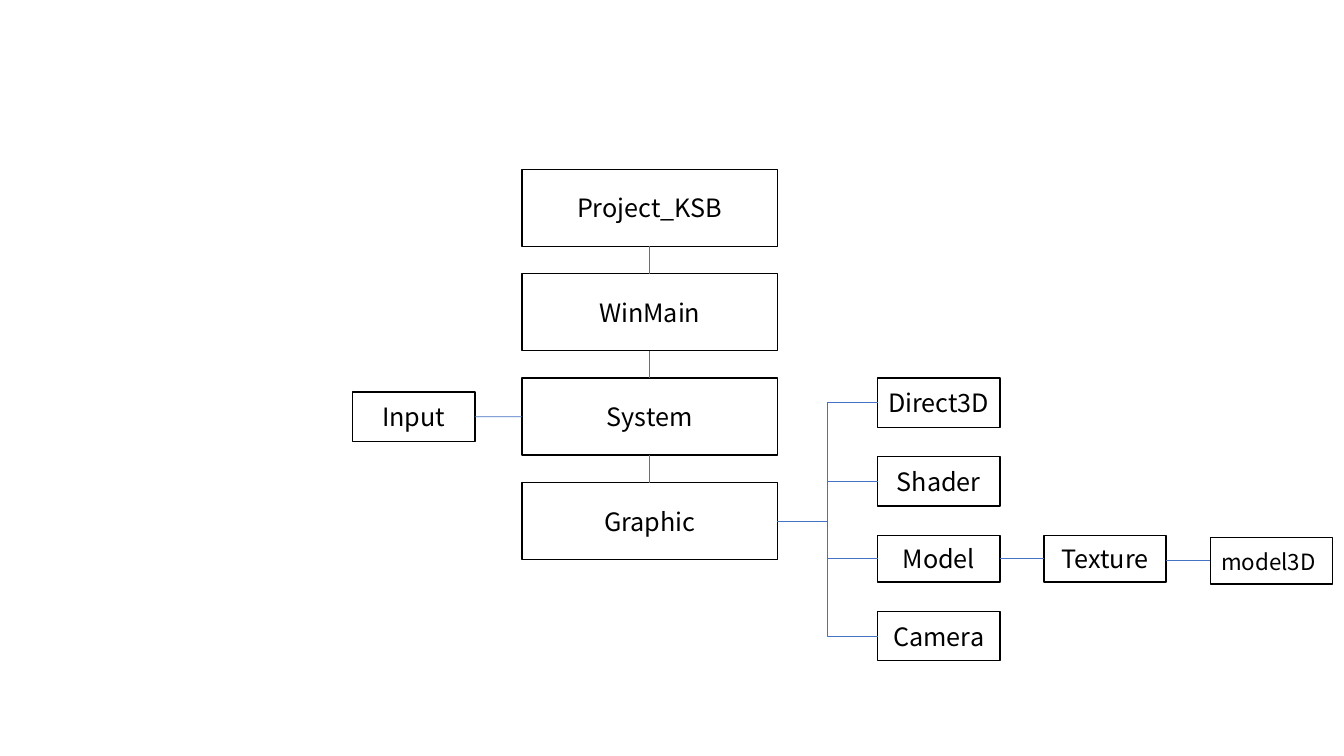
"""Draw the class structure of a 3D project as a tree of linked boxes."""
from dataclasses import dataclass
from itertools import pairwise

from lxml import etree
from pptx import Presentation
from pptx import util as u
from pptx.dml.color import RGBColor
from pptx.enum import shapes, text
from pptx.oxml import ns
from pptx.shapes.autoshape import Shape
from pptx.shapes.connector import Connector
from pptx.slide import Slide


@dataclass(frozen=True)
class Theme:
    font: str = "Noto Sans CJK KR"
    ink: RGBColor = RGBColor(0, 0, 0)
    paper: RGBColor = RGBColor(255, 255, 255)
    link: RGBColor = RGBColor(0x44, 0x72, 0xC4)
    body: int = 18
    small: int = 16
    border: float = 1
    link_width: float = 0.5


@dataclass(frozen=True)
class Node:
    spans: tuple[tuple[str, int], ...]
    left: float
    top: float
    width: float
    height: float


THEME = Theme()
TOP, LEFT, BOTTOM, RIGHT = range(4)
STRAIGHT = shapes.MSO_CONNECTOR.STRAIGHT
ELBOW = shapes.MSO_CONNECTOR.ELBOW

MAIN_LEFT, MAIN_TOP, MAIN_WIDTH, MAIN_HEIGHT = 13.16, 4.27, 6.43, 1.94
MAIN_PITCH = 2.63
PART_LEFT, PART_WIDTH, PART_PITCH, PART_GAP = 22.12, 3.08, 4.19, 0.74
TALL, SHORT = 1.24, 1.18
SYSTEM_TOP = MAIN_TOP + 2 * MAIN_PITCH


def label(name: str) -> tuple[tuple[str, int], ...]:
    return ((name, THEME.body),)


def add_node(page: Slide, node: Node) -> Shape:
    box = page.shapes.add_shape(
        shapes.MSO_SHAPE.RECTANGLE,
        u.Cm(node.left), u.Cm(node.top), u.Cm(node.width), u.Cm(node.height),
    )
    box.shadow.inherit = False
    box.fill.solid()
    box.fill.fore_color.rgb = THEME.paper
    box.line.color.rgb = THEME.ink
    box.line.width = u.Pt(THEME.border)
    frame = box.text_frame
    frame.word_wrap = False
    frame.vertical_anchor = text.MSO_ANCHOR.MIDDLE
    para = frame.paragraphs[0]
    para.alignment = text.PP_ALIGN.CENTER
    for words, size in node.spans:
        span = para.add_run()
        span.text = words
        span.font.name = THEME.font
        span.font.size = u.Pt(size)
        span.font.color.rgb = THEME.ink
    return box


def add_link(page: Slide, start: Shape, start_site: int, end: Shape, end_site: int,
             kind: shapes.MSO_CONNECTOR = STRAIGHT) -> Connector:
    link = page.shapes.add_connector(kind, 0, 0, 0, 0)
    link.begin_connect(start, start_site)
    link.end_connect(end, end_site)
    link.line.color.rgb = THEME.link
    link.line.width = u.Pt(THEME.link_width)
    etree.SubElement(link._element.spPr, ns.qn("a:effectLst"))
    return link


def build() -> None:
    deck = Presentation()
    deck.slide_width, deck.slide_height = u.Cm(33.87), u.Cm(19.05)
    page = deck.slides.add_slide(deck.slide_layouts[6])

    main_boxes = [
        add_node(page, Node(label(name), MAIN_LEFT, MAIN_TOP + row * MAIN_PITCH,
                            MAIN_WIDTH, MAIN_HEIGHT))
        for row, name in enumerate(("Project_KSB", "WinMain", "System", "Graphic"))
    ]
    for upper, lower in pairwise(main_boxes):
        add_link(page, upper, BOTTOM, lower, TOP)
    system, graphic = main_boxes[2:]

    input_top = SYSTEM_TOP + (MAIN_HEIGHT - TALL) / 2
    input_box = add_node(page, Node(label("Input"), 8.89, input_top, PART_WIDTH, TALL))
    add_link(page, input_box, RIGHT, system, LEFT)

    parts: dict[str, Shape] = {}
    tops: dict[str, float] = {}
    top = SYSTEM_TOP
    for name, height in (("Direct3D", TALL), ("Shader", TALL),
                         ("Model", SHORT), ("Camera", TALL)):
        parts[name] = add_node(page, Node(label(name), PART_LEFT, top, PART_WIDTH, height))
        tops[name] = top
        add_link(page, graphic, RIGHT, parts[name], LEFT, ELBOW)
        top += height + PART_GAP

    texture = add_node(page, Node(label("Texture"), PART_LEFT + PART_PITCH,
                                  tops["Model"], PART_WIDTH, SHORT))
    add_link(page, parts["Model"], RIGHT, texture, LEFT)
    model_3d = add_node(page, Node((("model3D", THEME.small), (" ", THEME.body)),
                                   PART_LEFT + 2 * PART_PITCH, tops["Model"] + 0.05,
                                   PART_WIDTH, SHORT))
    last_link = add_link(page, texture, RIGHT, model_3d, LEFT)
    last_link.begin_y = last_link.end_y

    deck.save("out.pptx")


build()
